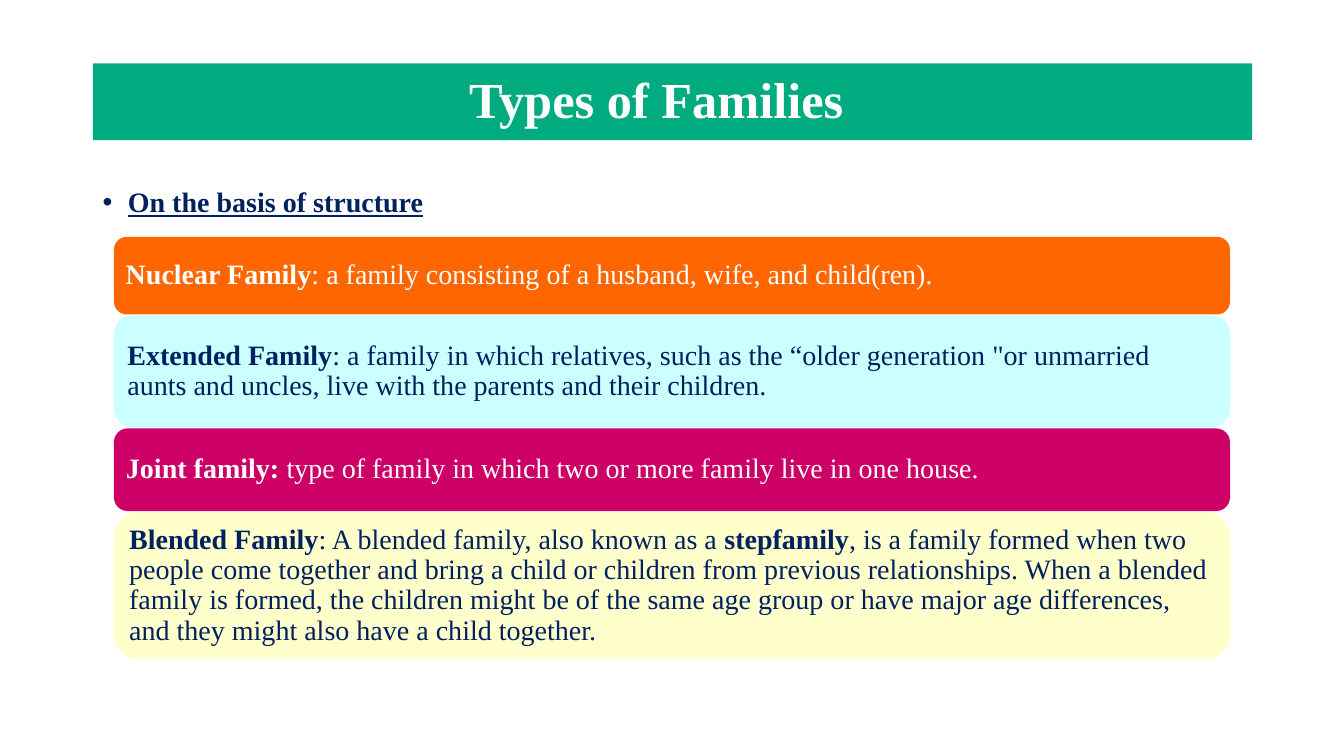
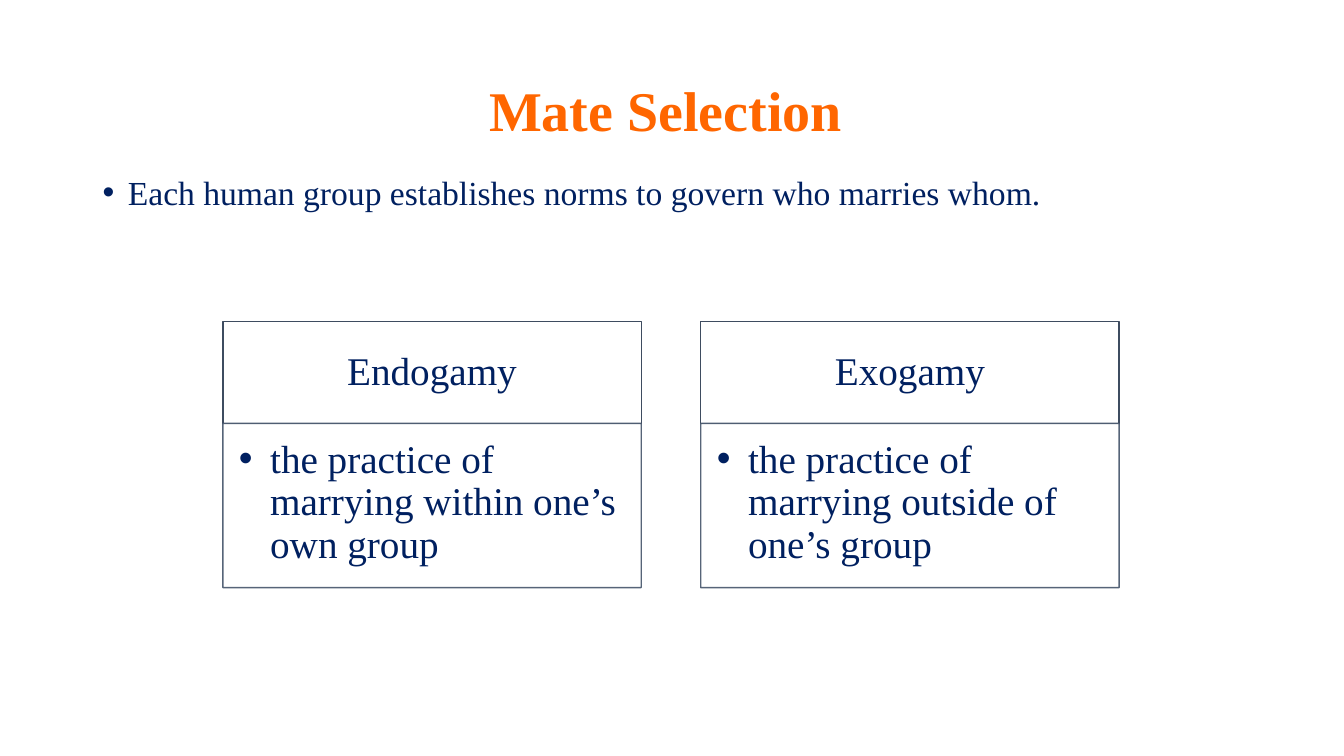
from collections import namedtuple

from lxml import etree
from pptx import Presentation
from pptx.dml.color import RGBColor
from pptx.enum.shapes import MSO_SHAPE
from pptx.enum.text import MSO_ANCHOR, MSO_AUTO_SIZE, PP_ALIGN
from pptx.oxml.ns import qn
from pptx.util import Inches, Pt

RECTANGLE, ROUNDED = MSO_SHAPE.RECTANGLE, MSO_SHAPE.ROUNDED_RECTANGLE
TOP, MIDDLE = MSO_ANCHOR.TOP, MSO_ANCHOR.MIDDLE
LEFT, CENTER = PP_ALIGN.LEFT, PP_ALIGN.CENTER
NO_FIT = MSO_AUTO_SIZE.NONE
TITLE_ONLY = 5

# Shared look
SLIDE_WIDTH, SLIDE_HEIGHT = 13.33, 7.5
MARGIN = 0.92
CONTENT_WIDTH = 11.5
FONT = "Times New Roman"
WHITE, NAVY, ORANGE, GREEN = "FFFFFF", "002060", "FF6600", "00AC7F"
CYAN, MAGENTA, CREAM = "CCFFFF", "CC0066", "FFFFCC"
HEADER_LINE, CARD_LINE = "3E4C60", "44546A"
DEFAULT_INSETS = (0.1, 0.05, 0.1, 0.05)

Box = namedtuple("Box", "left top width height")


def color(hex_text):
    return RGBColor.from_string(hex_text)


def set_all(target, values):
    for name, value in values.items():
        setattr(target, name, value)


def place(shape, box):
    set_all(shape, {name: Inches(value) for name, value in box._asdict().items()})


def add_bullet(para, indent):
    properties = para._p.get_or_add_pPr()
    properties.set("marL", str(Inches(indent)))
    properties.set("indent", str(-Inches(indent)))
    etree.SubElement(properties, qn("a:buFont")).set("typeface", "Arial")
    etree.SubElement(properties, qn("a:buChar")).set("char", "•")


def write(shape, spans, size, ink, insets=DEFAULT_INSETS, anchor=MIDDLE,
          align=LEFT, spacing=0.9, before=0, indent=None):
    """Write one paragraph; spans are (text, font changes) pairs."""
    frame = shape.text_frame
    sides = ("margin_left", "margin_top", "margin_right", "margin_bottom")
    set_all(frame, {"word_wrap": True, "auto_size": NO_FIT, "vertical_anchor": anchor})
    set_all(frame, {side: Inches(inset) for side, inset in zip(sides, insets)})
    para = frame.paragraphs[0]
    set_all(para, {"alignment": align, "line_spacing": spacing,
                   "space_before": Pt(before), "space_after": Pt(0)})
    if indent:
        add_bullet(para, indent)
    for text, changes in spans:
        span = para.add_run()
        span.text = text
        set_all(span.font, {"name": FONT, "size": Pt(size), "bold": False, **changes})
        span.font.color.rgb = color(ink)


def add_panel(page, box, kind, fill, line=None, opacity=100):
    panel = page.shapes.add_shape(kind, *(Inches(value) for value in box))
    panel.shadow.inherit = False
    panel.fill.solid()
    panel.fill.fore_color.rgb = color(fill)
    if line:
        panel.line.width = Pt(1)
        panel.line.color.rgb = color(line)
    else:
        panel.line.fill.background()
    if opacity < 100:
        for tone in panel._element.spPr.iter(qn("a:srgbClr")):
            etree.SubElement(tone, qn("a:alpha")).set("val", str(opacity * 1000))
    return panel


def add_page(deck, title, box, size, ink, band=None, insets=DEFAULT_INSETS):
    page = deck.slides.add_slide(deck.slide_layouts[TITLE_ONLY])
    heading = page.shapes.title
    place(heading, box)
    if band:
        heading.fill.solid()
        heading.fill.fore_color.rgb = color(band)
    write(heading, [(title, {"bold": True})], size, ink, insets, align=CENTER)
    return page


def add_lead(page, box, text, size, changes, spacing):
    lead = page.shapes.add_textbox(*(Inches(value) for value in box))
    write(lead, [(text, changes)], size, NAVY, anchor=TOP,
          spacing=spacing, before=10, indent=0.25)


def add_stack(page, box, rows, gap):
    """Rounded rows, one below the other; each row has its own height."""
    top = box.top
    for height, fill, ink, spans in rows:
        row = add_panel(page, Box(box.left, top, box.width, height), ROUNDED, fill)
        write(row, spans, 20, ink, insets=(0.08,) * 4)
        top += height + gap


def add_columns(page, box, columns, gap, header_height):
    """Equal columns, each a header above a bulleted card."""
    width = (box.width - gap * (len(columns) - 1)) / len(columns)
    for index, (name, meaning) in enumerate(columns):
        left = box.left + index * (width + gap)
        header = add_panel(page, Box(left, box.top, width, header_height),
                           RECTANGLE, WHITE, HEADER_LINE)
        write(header, [(name, {})], 28, NAVY, (0.22, 0.12, 0.22, 0.12), align=CENTER)
        card = add_panel(page, Box(left, box.top + header_height, width,
                                   box.height - header_height),
                         RECTANGLE, WHITE, CARD_LINE, opacity=90)
        write(card, [(meaning, {})], 28, NAVY, (0.16, 0.16, 0.22, 0.24),
              anchor=TOP, indent=0.31)


def build_families(deck):
    page = add_page(deck, "Types of Families", Box(MARGIN, 0.63, CONTENT_WIDTH, 0.76),
                    36, WHITE, band=GREEN, insets=(0.1, 0.05, 0.42, 0.05))
    add_lead(page, Box(MARGIN, 1.85, CONTENT_WIDTH, 0.39), "On the basis of structure",
             20, {"bold": True, "underline": True}, 0.8)
    bold = {"bold": True}
    rows = [
        (0.77, ORANGE, WHITE, [
            ("Nuclear Family", bold),
            (": a family consisting of a husband, wife, and child(ren).", {})]),
        (1.11, CYAN, NAVY, [
            ("Extended Family", bold),
            (": a family in which relatives, such as the “older generation \"or "
             "unmarried aunts and uncles, live with the parents and their children.", {})]),
        (0.82, MAGENTA, WHITE, [
            ("Joint family: ", bold),
            ("type of family in which two or more family live in one house.", {})]),
        (1.46, CREAM, NAVY, [
            ("Blended Family", bold),
            (": A blended family, also known as a ", {}),
            ("stepfamily", bold),
            (", is a family formed when two people come together and bring a child or "
             "children from previous relationships. When a blended family is formed, "
             "the children might be of the same age group or have major age "
             "differences, and they might also have a child together.", {})]),
    ]
    add_stack(page, Box(1.13, 2.35, 11.07, 4.2), rows, gap=0.01)


def build_mate_selection(deck):
    page = add_page(deck, "Mate Selection ", Box(MARGIN, 0.4, CONTENT_WIDTH, 1.45),
                    40, ORANGE)
    add_lead(page, Box(MARGIN, 1.7, CONTENT_WIDTH, 0.93),
             "Each human group establishes norms to govern who marries whom.", 24, {}, 0.9)
    columns = [
        ("Endogamy", "the practice of marrying within one’s own group"),
        ("Exogamy", "the practice of marrying outside of one’s group"),
    ]
    add_columns(page, Box(2.21, 3.19, 8.89, 2.64), columns, gap=0.59, header_height=1.01)


def main():
    deck = Presentation()
    set_all(deck, {"slide_width": Inches(SLIDE_WIDTH), "slide_height": Inches(SLIDE_HEIGHT)})
    build_families(deck)
    build_mate_selection(deck)
    deck.save("out.pptx")


if __name__ == "__main__":
    main()
